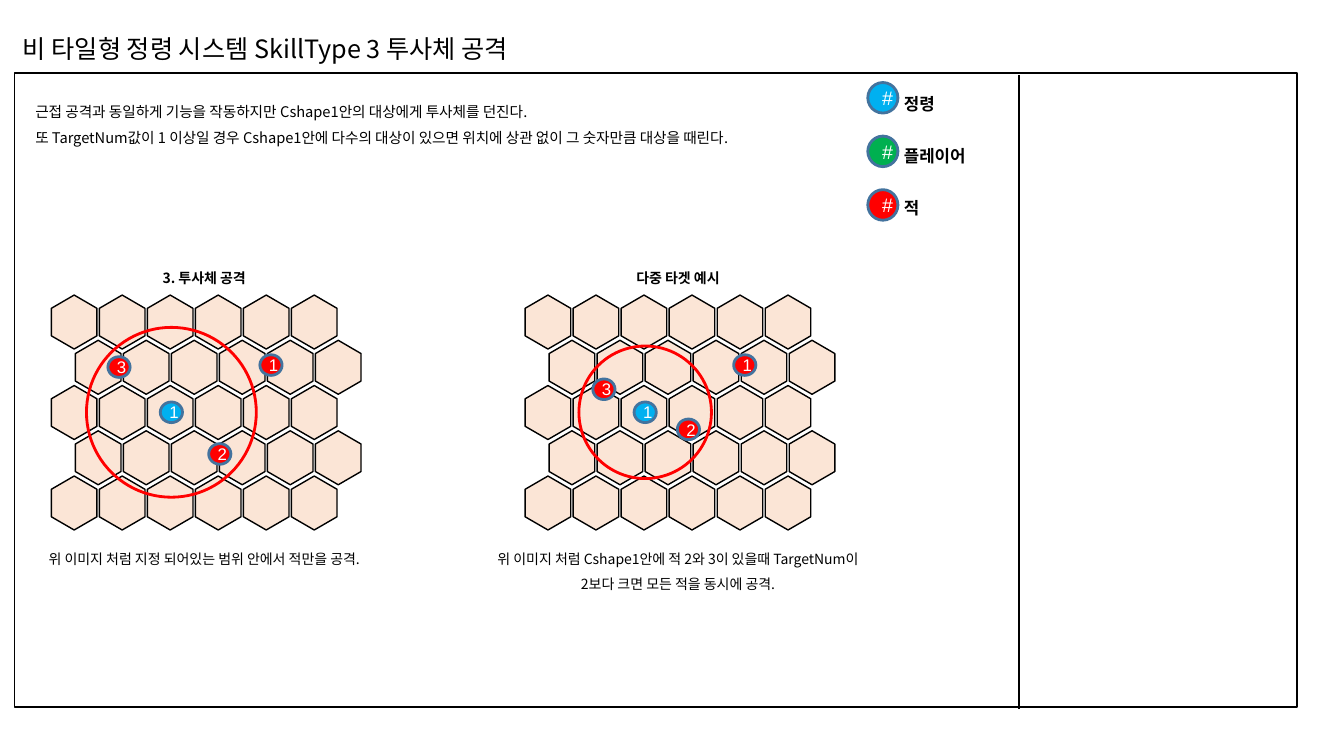
from pptx import Presentation
from pptx.dml.color import RGBColor
from pptx.enum.shapes import MSO_CONNECTOR, MSO_SHAPE
from pptx.enum.text import MSO_AUTO_SIZE, PP_ALIGN
from pptx.util import Cm, Pt
from lxml.etree import SubElement
from pptx.oxml.ns import qn

COLORS = {"ink": "000000", "white": "FFFFFF", "spirit": "00B0F0", "player": "00B050",
          "enemy": "FF0000", "rim": "43739E", "tile": "FBE5D6", "range": "FF0000"}
KOREAN = "Noto Sans CJK KR"


def rgb(name):
    return RGBColor.from_string(COLORS[name])


def set_font(p, size, color="ink", name=KOREAN, bold=False):
    font = p.font
    font.size, font.name, font.bold = Pt(size), name, bold
    font.color.rgb = rgb(color)
    # East Asian typeface for the Korean characters
    SubElement(p._p.pPr.find(qn("a:defRPr")), qn("a:ea"), typeface=KOREAN)


def add_text(s, x, y, w, h, lines, size, spacing=1.5, align=PP_ALIGN.LEFT, **font):
    tf = s.shapes.add_textbox(Cm(x), Cm(y), Cm(w), Cm(h)).text_frame
    tf.word_wrap = True
    tf.auto_size = MSO_AUTO_SIZE.SHAPE_TO_FIT_TEXT
    for i, line in enumerate(lines):
        p = tf.add_paragraph() if i else tf.paragraphs[0]
        p.text, p.alignment, p.line_spacing = line, align, spacing
        set_font(p, size, **font)


def add_figure(s, kind, x, y, w, h, fill=None, line="ink", weight=1.0):
    sp = s.shapes.add_shape(kind, Cm(x), Cm(y), Cm(w), Cm(h))
    sp.shadow.inherit = False
    if fill:
        sp.fill.solid()
        sp.fill.fore_color.rgb = rgb(fill)
    else:
        sp.fill.background()
    sp.line.color.rgb, sp.line.width = rgb(line), Pt(weight)
    return sp


def add_marker(s, x, y, w, h, label, kind, size=12):
    sp = add_figure(s, MSO_SHAPE.OVAL, x, y, w, h, kind, "rim", 2)
    p = sp.text_frame.paragraphs[0]
    p.text, p.alignment = label, PP_ALIGN.CENTER
    set_font(p, size, "white", "Arial")


def add_frame(s, x, y, w, h, divider):
    add_figure(s, MSO_SHAPE.RECTANGLE, x, y, w, h)
    line = s.shapes.add_connector(MSO_CONNECTOR.STRAIGHT, Cm(x + divider), Cm(y + 0.05),
                                  Cm(x + divider), Cm(y + h + 0.05))
    line.line.color.rgb, line.line.width = rgb("ink"), Pt(0.75)
    SubElement(line._element.spPr, qn("a:effectLst"))


def add_legend(s, x, y):
    entries = [("spirit", "정령"), ("player", "플레이어"), ("enemy", "적")]
    for i, (kind, label) in enumerate(entries):
        add_marker(s, x, y + 0.1 + 1.35 * i, 0.76, 0.77, "#", kind, 14)
        add_text(s, x + 0.66, y + 1.31 * i, 2.7, 0.92, [label], 12, name="Arial", bold=True)


def add_hex_grid(s, x, y):
    """Five rows of six upright hexagons, odd rows shifted by half a step."""
    long, short, step, row_step = 1.36, 1.15, 1.21, 1.14
    for row in range(5):
        for col in range(6):
            left = x + step * (col + row % 2 / 2)
            sp = add_figure(s, MSO_SHAPE.HEXAGON, left, y + row_step * row,
                            long, short, "tile")
            sp.adjustments[0] = 0.29
            sp.rotation = 270


def add_panel(s, x, y, title, caption, radius, enemies):
    """Titled hex map; enemies are offsets from the panel's corner."""
    w, cx, cy = 9.63, 3.99, 3.94
    add_text(s, x, y, w, 0.89, [title], 10, align=PP_ALIGN.CENTER, bold=True)
    add_hex_grid(s, x + 0.86, y + 1.09)
    add_figure(s, MSO_SHAPE.OVAL, x + cx - radius, y + cy - radius,
               2 * radius, 2 * radius, line="range", weight=2)
    add_marker(s, x + cx - 0.28, y + cy - 0.26, 0.56, 0.52, "1", "spirit")
    for label, (dx, dy) in enemies.items():
        add_marker(s, x + dx, y + dy, 0.56, 0.52, label, "enemy")
    add_text(s, x, y + 7.09, w, 0.89, [caption], 10, align=PP_ALIGN.CENTER)


prs = Presentation()
prs.slide_width, prs.slide_height = Cm(33.87), Cm(19.05)
s = prs.slides.add_slide(prs.slide_layouts[6])

# Heading and frame
add_text(s, 0.33, 0.71, 15.85, 1.02, ["비 타일형 정령 시스템 SkillType 3 투사체 공격"], 18, spacing=1.0)
add_frame(s, 0.36, 1.84, 32.33, 15.98, 25.32)

# Explanation and legend
add_text(s, 0.64, 2.24, 23.19, 1.6, [
    "근접 공격과 동일하게 기능을 작동하지만 Cshape1안의 대상에게 투사체를 던진다.",
    "또 TargetNum값이 1 이상일 경우 Cshape1안에 다수의 대상이 있으면 위치에 상관 없이 그 숫자만큼 대상을 때린다.",
], 10.5)
add_legend(s, 21.87, 1.98)

# Hex maps
add_panel(s, 0.33, 6.45, "3. 투사체 공격",
          "위 이미지 처럼 지정 되어있는 범위 안에서 적만을 공격.", 2.14,
          {"2": (4.93, 4.73), "1": (6.22, 2.49), "3": (2.39, 2.54)})
add_panel(s, 12.27, 6.45, "다중 타겟 예시",
          "위 이미지 처럼 Cshape1안에 적 2와 3이 있을때 TargetNum이 2보다 크면 모든 적을 동시에 공격.", 1.67,
          {"2": (4.8, 4.11), "1": (6.22, 2.49), "3": (2.67, 3.1)})

prs.save("out.pptx")
